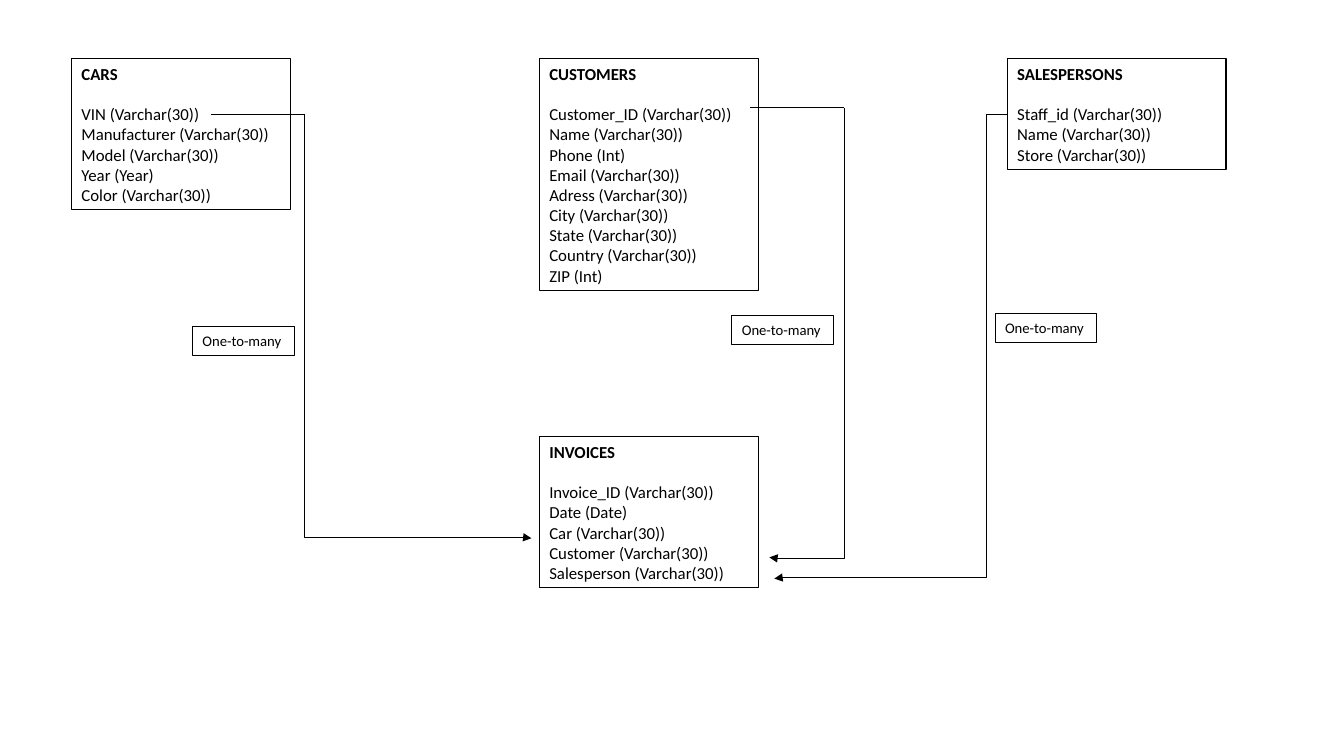
from lxml import etree
from pptx import Presentation
from pptx.dml.color import RGBColor
from pptx.enum.shapes import MSO_CONNECTOR, MSO_SHAPE
from pptx.enum.text import MSO_ANCHOR, PP_ALIGN
from pptx.oxml.ns import qn
from pptx.util import Inches, Pt

RECTANGLE = MSO_SHAPE.RECTANGLE
STRAIGHT, ELBOW = MSO_CONNECTOR.STRAIGHT, MSO_CONNECTOR.ELBOW
LEFT, TOP = PP_ALIGN.LEFT, MSO_ANCHOR.TOP
BLACK = RGBColor(0, 0, 0)
FONT = "Calibri"
BLANK_LAYOUT = 6

ENTITY_WIDTH = 2.17
LINE_HEIGHT = 0.2  # one 12 pt line of text
LABEL_WIDTH, LABEL_HEIGHT = 1.01, 0.29

# name, left, top, fields
ENTITIES = [
    ("CARS", 0.71, 0.58,
     ["VIN (Varchar(30))", "Manufacturer (Varchar(30))", "Model (Varchar(30))",
      "Year (Year)", "Color (Varchar(30))"]),
    ("CUSTOMERS", 5.35, 0.58,
     ["Customer_ID (Varchar(30))", "Name (Varchar(30))", "Phone (Int)",
      "Email (Varchar(30))", "Adress (Varchar(30))", "City (Varchar(30))",
      "State (Varchar(30))", "Country (Varchar(30))", "ZIP (Int)"]),
    ("SALESPERSONS", 9.99, 0.58,
     ["Staff_id (Varchar(30))", "Name (Varchar(30))", "Store (Varchar(30))"]),
    ("INVOICES", 5.35, 4.33,
     ["Invoice_ID (Varchar(30))", "Date (Date)", "Car (Varchar(30))",
      "Customer (Varchar(30))", "Salesperson (Varchar(30))"]),
]

# key x, key y, trunk x, arrow tip x, arrow tip y, bend ratio, label left, label top
RELATIONS = [
    (2.09, 1.13, 3.02, 5.27, 5.34, 0.998, 1.91, 3.24),
    (7.44, 1.07, 8.37, 7.63, 5.53, 1.002, 7.26, 3.13),
    (9.99, 1.13, 9.78, 7.68, 5.74, 0.998, 9.87, 3.11),
]


def add_text(frame, text, size=12, bold=False, space_before=0):
    """Fill the first paragraph if it is empty, else append a new one."""
    paragraph = frame.paragraphs[0]
    if paragraph.runs:
        paragraph = frame.add_paragraph()
    paragraph.alignment = LEFT
    paragraph.space_before = Pt(space_before)
    run = paragraph.add_run()
    run.text = text
    run.font.name = FONT
    run.font.size = Pt(size)
    run.font.bold = bold
    run.font.color.rgb = BLACK


def add_box(slide, left, top, width, height):
    """Add an outlined rectangle and return its text frame."""
    box = slide.shapes.add_shape(
        RECTANGLE, Inches(left), Inches(top), Inches(width), Inches(height))
    box.shadow.inherit = False
    box.fill.background()
    box.line.color.rgb = BLACK
    box.line.width = Pt(0.75)
    frame = box.text_frame
    frame.word_wrap = True
    frame.vertical_anchor = TOP
    return frame


def add_entity(slide, left, top, name, fields):
    height = 0.1 + LINE_HEIGHT * (len(fields) + 2)
    frame = add_box(slide, left, top, ENTITY_WIDTH, height)
    add_text(frame, name, bold=True)
    for index, field in enumerate(fields):
        add_text(frame, field, space_before=14.6 if index == 0 else 0)


def add_line(slide, kind, left, top, right, bottom):
    connector = slide.shapes.add_connector(
        kind, Inches(left), Inches(top), Inches(right), Inches(bottom))
    connector.line.color.rgb = BLACK
    connector.line.width = Pt(0.5)
    etree.SubElement(connector._element.spPr, qn("a:effectLst"))
    return connector


def add_bent_arrow(slide, start_x, start_y, end_x, end_y, bend):
    """Draw an elbow arrow that runs down first, then sideways to its tip."""
    center_x, center_y = (start_x + end_x) / 2, (start_y + end_y) / 2
    half_length, half_span = (end_y - start_y) / 2, abs(end_x - start_x) / 2
    connector = add_line(slide, ELBOW,
                         center_x - half_length, center_y - half_span,
                         center_x + half_length, center_y + half_span)
    heads_right = end_x > start_x
    connector.rotation = 270 if heads_right else 90
    properties = connector._element.spPr
    if heads_right:
        properties.find(qn("a:xfrm")).set("flipH", "1")
    adjustments = properties.find(qn("a:prstGeom")).find(qn("a:avLst"))
    etree.SubElement(adjustments, qn("a:gd"), name="adj1",
                     fmla=f"val {round(bend * 100000)}")
    etree.SubElement(properties.find(qn("a:ln")), qn("a:tailEnd"), type="triangle")


def add_relation(slide, key_x, key_y, trunk_x, tip_x, tip_y, bend):
    add_bent_arrow(slide, trunk_x, key_y, tip_x, tip_y, bend)
    add_line(slide, STRAIGHT, key_x, key_y, trunk_x, key_y)


def add_label(slide, left, top):
    frame = add_box(slide, left, top, LABEL_WIDTH, LABEL_HEIGHT)
    add_text(frame, "One-to-many", size=10.5)


def main():
    presentation = Presentation()
    presentation.slide_width = Inches(13.33)
    presentation.slide_height = Inches(7.5)
    slide = presentation.slides.add_slide(presentation.slide_layouts[BLANK_LAYOUT])
    for name, left, top, fields in ENTITIES:
        add_entity(slide, left, top, name, fields)
    for *route, _, _ in RELATIONS:
        add_relation(slide, *route)
    for *_, left, top in RELATIONS:
        add_label(slide, left, top)
    presentation.save("out.pptx")


if __name__ == "__main__":
    main()
